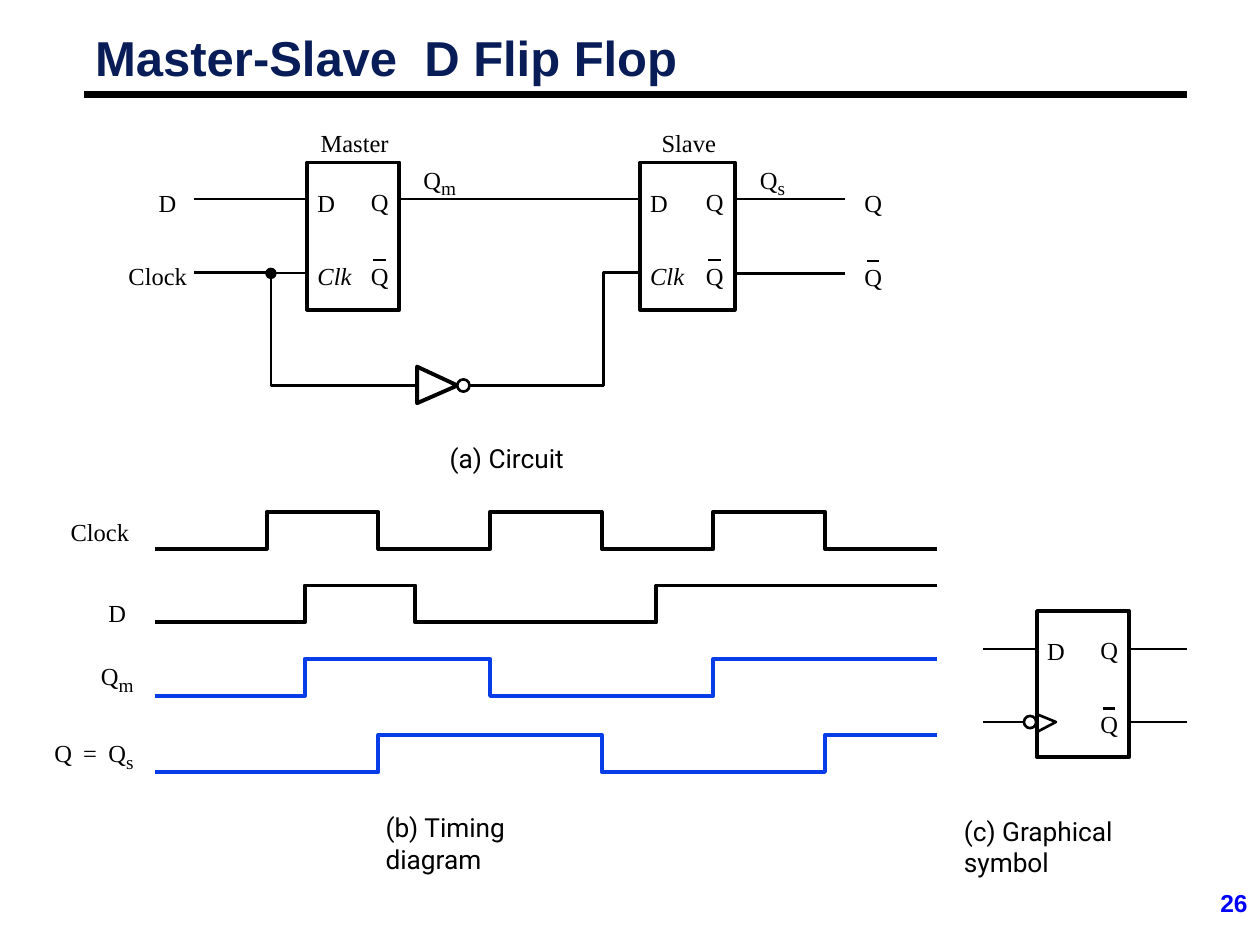
from lxml.etree import SubElement
from pptx import Presentation
from pptx.dml.color import RGBColor
from pptx.enum.shapes import MSO_CONNECTOR, MSO_SHAPE
from pptx.enum.text import MSO_AUTO_SIZE, PP_ALIGN
from pptx.oxml.ns import qn
from pptx.util import Pt

BLACK, WHITE, NAVY, BLUE, WAVE_BLUE = "000000", "FFFFFF", "081D58", "0000FF", "063DE8"
SERIF = {"name": "Times New Roman", "size": Pt(14)}
CAPTION = {"name": "Roboto", "size": Pt(15)}

# Blocks: left, top, width, height
MASTER = (175.7, 92.9, 52.6, 84.2)
SLAVE = (365.8, 92.9, 54, 84.2)
SYMBOL = (592.6, 349.2, 52.6, 83.5)
BLOCKS = [(MASTER, "Clk"), (SLAVE, "Clk"), (SYMBOL, None)]

# Wires: x1, y1, x2, y2
WIRES = [
    (110.9, 113.8, 175.7, 113.8), (228.3, 113.8, 365.8, 113.8),
    (419.8, 113.8, 483.1, 113.8), (419.8, 156.2, 483.1, 156.2),
    (561.6, 370.8, 592.6, 370.8), (561.6, 412.6, 585.4, 412.6),
    (645.2, 370.8, 678.2, 370.8), (645.2, 412.6, 678.2, 412.6),
    (217.4, 220.3, 238.3, 220.3), (265.7, 220.3, 282.2, 220.3),
    (154.8, 156, 175.7, 156),
]
CLOCK_PATHS = [
    [(110.9, 155.8), (154.8, 155.8), (154.8, 220.3), (217.4, 220.3)],
    [(365.8, 155.8), (344.9, 155.8), (344.9, 220.3), (282.2, 220.3)],
]
INVERTER = [(261.4, 220.3), (238.3, 230.4), (238.3, 209.5)]
CLOCK_WEDGE = [(592.6, 418.3), (603.4, 412.6), (592.6, 408.2)]

# Labels: text, left, top, width
LABELS = [
    ("Master", 183.2, 72.9, 41), ("Slave", 378, 72.9, 34.6),
    ("D", 90.7, 107.3, 13.7), ("Clock", 73.4, 149, 36.7), ("Q", 493.9, 107.3, 13.7),
    ("Clock", 40.3, 295.2, 36.7), ("D", 61.9, 342, 13.7),
    ("Q", 31, 421.9, 13.7), ("=", 47.5, 421.9, 11.5),
]
# Q with a subscript: subscript, left, top
SUBSCRIPTED = [("m", 241.9, 94.3), ("s", 434.2, 94.3), ("m", 57.6, 378), ("s", 61.9, 421.9)]
# Captions: text, left, top, width, whether it wraps
CAPTIONS = [
    ("(a) Circuit", 257, 252.7, 69, False),
    ("(b) Timing diagram", 220.3, 463.7, 121, True),
    ("(c) Graphical symbol", 550.8, 465.8, 132.5, True),
]

# Waveforms: high level, colour, toggle times in half clock periods (all start low)
WAVE_LEFT, HALF_PERIOD, WAVE_END, SWING = 88.6, 63.8, 7, 21.1
WAVES = [
    (292.5, BLACK, [1, 2, 3, 4, 5, 6]),
    (334.6, BLACK, [1.34, 2.33, 4.49]),
    (376.6, WAVE_BLUE, [1.34, 3, 5]),
    (420, WAVE_BLUE, [2, 4, 6]),
]

prs = Presentation()
prs.slide_width, prs.slide_height = Pt(720), Pt(540)
slide = prs.slides.add_slide(prs.slide_layouts[6])
shapes = slide.shapes


def rgb(color):
    return RGBColor.from_string(color)


def style(s, fill, line, width):
    s.shadow.inherit = False
    if fill:
        s.fill.solid()
        s.fill.fore_color.rgb = rgb(fill)
    else:
        s.fill.background()
    s.line.color.rgb = rgb(line)
    s.line.width = Pt(width)


def preset(kind, box, fill=WHITE, width=2.25):
    style(shapes.add_shape(kind, *map(Pt, box)), fill, BLACK, width)


def circle(x, y, d, fill=WHITE, width=1.5):
    preset(MSO_SHAPE.OVAL, (x - d / 2, y - d / 2, d, d), fill, width)


def outline(points, color=BLACK, width=1.5, fill=None, close=False):
    pts = [(Pt(x), Pt(y)) for x, y in points]
    builder = shapes.build_freeform(*pts[0])
    builder.add_line_segments(pts[1:], close=close)
    style(builder.convert_to_shape(), fill, color, width)


def line(x1, y1, x2, y2, width=1.5):
    s = shapes.add_connector(MSO_CONNECTOR.STRAIGHT, *map(Pt, (x1, y1, x2, y2)))
    s.line.color.rgb = rgb(BLACK)
    s.line.width = Pt(width)
    SubElement(s._element.spPr, qn("a:effectLst"))


def text(words, x, y, w, h=16.6, font=SERIF, color=BLACK, wrap=False, insets=(0, 0),
         align=PP_ALIGN.LEFT, spacing=None, **extra):
    tf = shapes.add_textbox(*map(Pt, (x, y, w, h))).text_frame
    tf.word_wrap = wrap
    tf.auto_size = MSO_AUTO_SIZE.NONE if wrap else MSO_AUTO_SIZE.SHAPE_TO_FIT_TEXT
    tf.margin_left = tf.margin_right = Pt(insets[0])
    tf.margin_top = tf.margin_bottom = Pt(insets[1])
    p = tf.paragraphs[0]
    p.alignment = align
    p.line_spacing = spacing
    r = p.add_run()
    r.text = words
    for name, value in {**font, **extra}.items():
        setattr(r.font, name, value)
    r.font.color.rgb = rgb(color)


def q_bar(x, y):
    """Q with an overline: the inverted output."""
    text("Q", x, y, 13.7)
    line(x + 1.4, y - 0.6, x + 8.5, y - 0.6, 1.38)


# Title, rule and slide number
line(48.2, 54, 678.2, 54, 4.5)
heading = {"name": "Arial", "bold": True}
text("Master-Slave  D Flip Flop", 47.5, 18, 346.3, 33.8, heading, NAVY, insets=(5, 2.2),
     align=PP_ALIGN.CENTER, spacing=0.87, size=Pt(28))
text("26", 570.2, 504, 149.8, 36, heading, BLUE, wrap=True, insets=(7.2, 3.6),
     align=PP_ALIGN.RIGHT, size=Pt(14))

# Circuit and graphical symbol
for points in CLOCK_PATHS:
    outline(points)
for wire in WIRES:
    line(*wire)
for (x, y, w, h), clock in BLOCKS:
    preset(MSO_SHAPE.RECTANGLE, (x, y, w, h))
    text("D", x + 5.7, y + 14.4, 13.7)
    text("Q", x + w - 16.4, y + 13.7, 13.7)
    q_bar(x + w - 16.4, y + 56.2)
    if clock:
        text(clock, x + 5.7, y + 56.2, 23, italic=True)
q_bar(493.9, 149.8)
outline(INVERTER, width=2.25, fill=WHITE, close=True)
outline(CLOCK_WEDGE)
circle(264.8, 220.3, 7)
circle(588.6, 412.6, 7)
circle(154.8, 156.2, 5.8, BLACK, 0.75)

# Timing diagram
for high, color, toggles in WAVES:
    low = high + SWING
    points, level, other = [(WAVE_LEFT, low)], low, high
    for t in toggles:
        x = WAVE_LEFT + t * HALF_PERIOD
        points += [(x, level), (x, other)]
        level, other = other, level
    points.append((WAVE_LEFT + WAVE_END * HALF_PERIOD, level))
    outline(points, color, 2.25)

# Labels and captions
for label in LABELS:
    text(*label)
for sub, x, y in SUBSCRIPTED:
    text("Q", x, y, 13.7)
    text(sub, x + 10.2, y + 6.7, 11.5, 13, size=Pt(11))
for words, x, y, w, wrap in CAPTIONS:
    text(words, x, y, w, 18, CAPTION, wrap=wrap)

prs.save("out.pptx")
